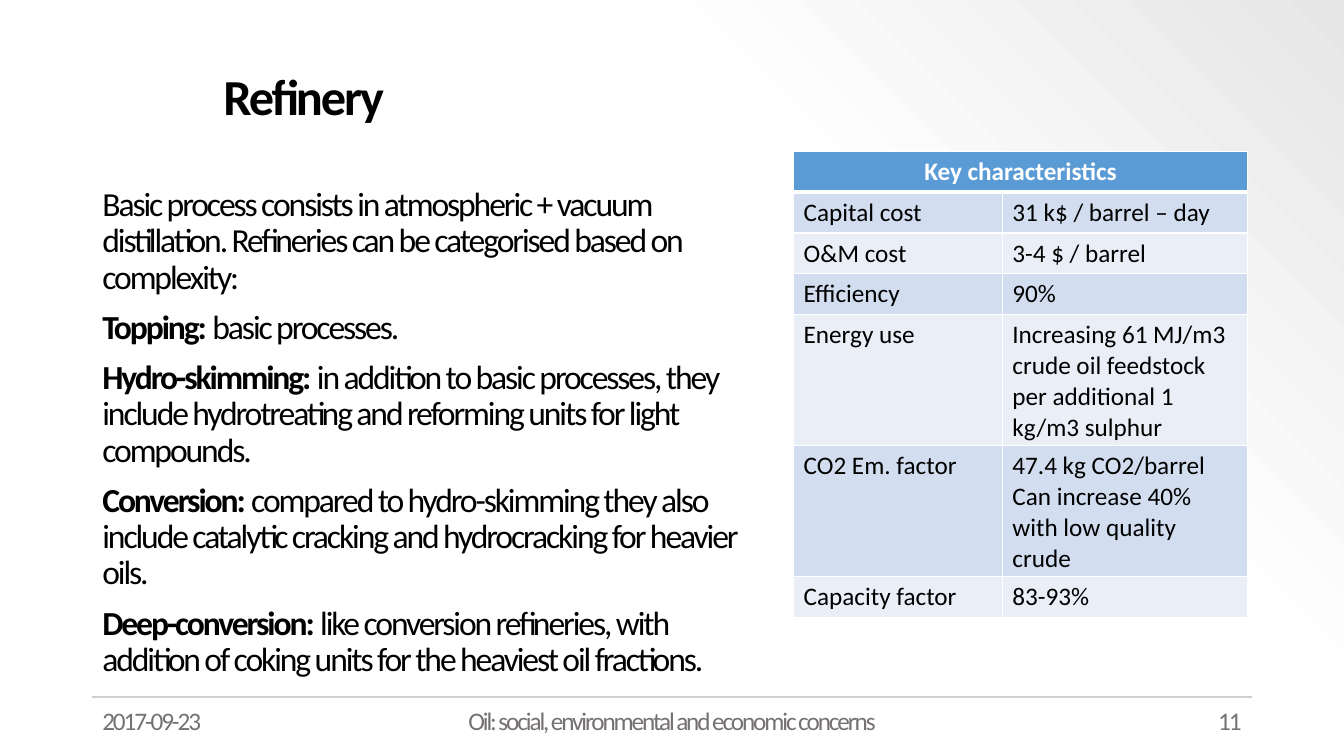
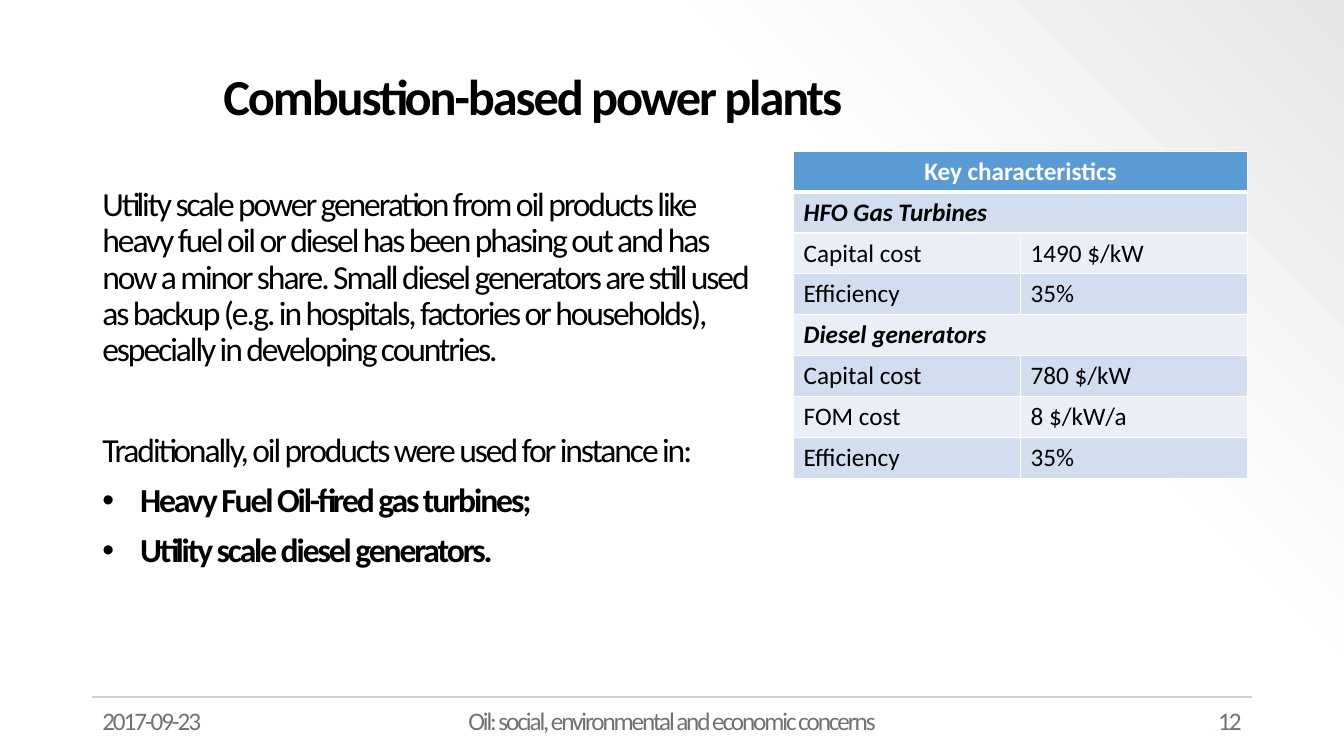
"""Build two slides on oil refineries and oil-fired power plants."""
from copy import deepcopy
from dataclasses import dataclass

from lxml.etree import SubElement
from pptx import Presentation
from pptx.dml.color import RGBColor
from pptx.enum.shapes import MSO_CONNECTOR
from pptx.enum.text import MSO_ANCHOR, PP_ALIGN
from pptx.oxml import parse_xml
from pptx.oxml.ns import nsdecls, qn
from pptx.util import Cm, Pt


@dataclass(frozen=True)
class Theme:
    font: str = "Calibri"
    text: str = "000000"
    muted: str = "767171"
    rule: str = "D0CECE"
    white: str = "FFFFFF"
    near_white: str = "FDFDFD"
    shade: str = "E7E6E6"
    header: str = "5B9BD5"
    bands: tuple = ("D2DEEF", "EAEFF7")
    title_size: int = 36
    body_size: int = 24
    small_size: int = 18
    tracking: float = -1.5
    line_spacing: float = 0.9
    gap: int = 10


def write(para, text, size, color, font=Theme.font, bold=False, italic=False,
          tracking=0, align=None):
    span = para.add_run()
    span.text = text
    span.font.name = font
    span.font.size = Pt(size)
    span.font.bold = bold
    span.font.italic = italic
    span.font.color.rgb = RGBColor.from_string(color)
    if tracking:
        span._r.get_or_add_rPr().set("spc", str(round(tracking * 100)))
    if align is not None:
        para.alignment = align


class SlideWriter:
    left = 2.33
    right = 31.54

    def __init__(self, deck, theme):
        self.deck = deck
        self.theme = theme
        self.page = None

    def start(self, title, number):
        self.page = self.deck.slides.add_slide(self.deck.slide_layouts[6])
        self.background()
        self.footer(number)
        frame = self.text_frame(5.38, 0.95, 26.16, 3.1)
        frame.vertical_anchor = MSO_ANCHOR.MIDDLE
        para = frame.paragraphs[0]
        para.line_spacing = self.theme.line_spacing
        write(para, title, self.theme.title_size, self.theme.text, bold=True,
              tracking=self.theme.tracking)

    def background(self):
        theme = self.theme
        fill = self.page.background.fill
        fill.gradient()
        fill.gradient_angle = 45
        stop_list = self.page.element.xpath(".//a:gsLst")[0]
        stop_list.append(deepcopy(stop_list[-1]))
        stops = zip(fill.gradient_stops, (0, 0.69, 1),
                    (theme.white, theme.near_white, theme.shade))
        for stop, position, color in stops:
            stop.position = position
            stop.color.rgb = RGBColor.from_string(color)
        SubElement(stop_list[-1][0], qn("a:alpha"), val="50000")

    def text_frame(self, left, top, width, height):
        box = self.page.shapes.add_textbox(Cm(left), Cm(top), Cm(width), Cm(height))
        box.text_frame.word_wrap = True
        return box.text_frame

    def footer(self, number):
        theme = self.theme
        rule = self.page.shapes.add_connector(
            MSO_CONNECTOR.STRAIGHT, Cm(self.left), Cm(17.57), Cm(self.right), Cm(17.57))
        rule.line.color.rgb = RGBColor.from_string(theme.rule)
        rule.line.width = Pt(1.5)
        SubElement(rule._element.spPr, qn("a:effectLst"))
        side, middle = 7.62, 11.43
        parts = (
            (self.left, side, "2017-09-23", PP_ALIGN.LEFT),
            ((self.left + self.right - middle) / 2, middle,
             "Oil: social, environmental and economic concerns", PP_ALIGN.CENTER),
            (self.right - side, side, str(number), PP_ALIGN.RIGHT),
        )
        for left, width, text, align in parts:
            frame = self.text_frame(left, 17.66, width, 1.01)
            write(frame.paragraphs[0], text, theme.small_size, theme.muted,
                  tracking=theme.tracking, align=align)

    def body(self):
        return self.text_frame(self.left, 4.6, 17.22, 13.64)

    def paragraph(self, frame, text, lead="", bullet=False, gap=None):
        theme = self.theme
        para = frame.paragraphs[0]
        if para.runs:
            para = frame.add_paragraph()
            para.space_before = Pt(gap or theme.gap)
        para.line_spacing = theme.line_spacing
        if bullet:
            properties = para._p.get_or_add_pPr()
            properties.set("marL", str(Cm(0.95)))
            properties.set("indent", str(-Cm(0.95)))
            SubElement(properties, qn("a:buFont"), typeface="Arial")
            SubElement(properties, qn("a:buChar"), char="•")
        for part, bold in ((lead, True), (text, bullet)):
            if part:
                write(para, part, theme.body_size, theme.text, bold=bold,
                      tracking=theme.tracking)

    def table(self, rows, widths):
        theme = self.theme
        rows = [("Key characteristics",), *rows]
        row_height = 1.03
        grid = self.page.shapes.add_table(
            len(rows), len(widths), Cm(20), Cm(3.81),
            Cm(sum(widths)), Cm(row_height * len(rows))).table
        for column, width in zip(grid.columns, widths):
            column.width = Cm(width)
        for index, texts in enumerate(rows):
            grid.rows[index].height = Cm(row_height)
            is_header = index == 0
            is_group = len(texts) == 1
            if is_group:
                grid.cell(index, 0).merge(grid.cell(index, len(widths) - 1))
            for column in range(len(widths)):
                cell = grid.cell(index, column)
                cell.fill.solid()
                cell.fill.fore_color.rgb = RGBColor.from_string(
                    theme.header if is_header else theme.bands[(index - 1) % 2])
                self.borders(cell, top=3 if index == 1 else 1, bottom=3 if is_header else 1)
            for column, text in enumerate(texts):
                frame = grid.cell(index, column).text_frame
                for line_index, line in enumerate(text.split("\n")):
                    para = frame.add_paragraph() if line_index else frame.paragraphs[0]
                    write(para, line, theme.small_size,
                          theme.white if is_header else theme.text,
                          bold=is_group, italic=is_group and not is_header,
                          align=PP_ALIGN.CENTER if is_header else PP_ALIGN.LEFT)

    def borders(self, cell, top, bottom):
        properties = cell._tc.get_or_add_tcPr()
        sides = (("lnL", 1), ("lnR", 1), ("lnT", top), ("lnB", bottom))
        for position, (side, width) in enumerate(sides):
            properties.insert(position, parse_xml(
                f'<a:{side} {nsdecls("a")} w="{Pt(width)}"><a:solidFill>'
                f'<a:srgbClr val="{self.theme.white}"/></a:solidFill></a:{side}>'))


def refinery(writer):
    writer.start("Refinery", 11)
    writer.table([
        ("Capital cost", "31 k$ / barrel – day"),
        ("O&M cost", "3-4 $ / barrel"),
        ("Efficiency", "90%"),
        ("Energy use",
         "Increasing 61 MJ/m3 crude oil feedstock per additional 1 kg/m3 sulphur"),
        ("CO2 Em. factor",
         "47.4 kg CO2/barrel\nCan increase 40% with low quality crude"),
        ("Capacity factor", "83-93%"),
    ], (5.26, 6.18))
    frame = writer.body()
    for lead, text in (
        ("", "Basic process consists in atmospheric + vacuum distillation. "
             "Refineries can be categorised based on complexity:"),
        ("Topping: ", "basic processes."),
        ("Hydro-skimming: ", "in addition to basic processes, they include "
         "hydrotreating and reforming units for light compounds."),
        ("Conversion: ", "compared to hydro-skimming they also include catalytic "
         "cracking and hydrocracking for heavier oils."),
        ("Deep-conversion: ", "like conversion refineries, with addition of coking "
         "units for the heaviest oil fractions."),
    ):
        writer.paragraph(frame, text, lead=lead)


def power_plants(writer):
    writer.start("Combustion-based power plants", 12)
    frame = writer.body()
    writer.paragraph(
        frame, "Utility scale power generation from oil products like heavy fuel oil "
        "or diesel has been phasing out and has now a minor share. Small diesel "
        "generators are still used as backup (e.g. in hospitals, factories or "
        "households), especially in developing countries.")
    writer.paragraph(frame, "Traditionally, oil products were used for instance in:", gap=46)
    for text in ("Heavy Fuel Oil-fired gas turbines;", "Utility scale diesel generators."):
        writer.paragraph(frame, text, bullet=True)
    writer.table([
        ("HFO Gas Turbines",),
        ("Capital cost", "1490 $/kW"),
        ("Efficiency", "35%"),
        ("Diesel generators",),
        ("Capital cost", "780 $/kW"),
        ("FOM cost", "8 $/kW/a"),
        ("Efficiency", "35%"),
    ], (5.72, 5.72))


def main():
    deck = Presentation()
    deck.slide_width = Cm(33.87)
    deck.slide_height = Cm(19.05)
    writer = SlideWriter(deck, Theme())
    refinery(writer)
    power_plants(writer)
    deck.save("out.pptx")


if __name__ == "__main__":
    main()
